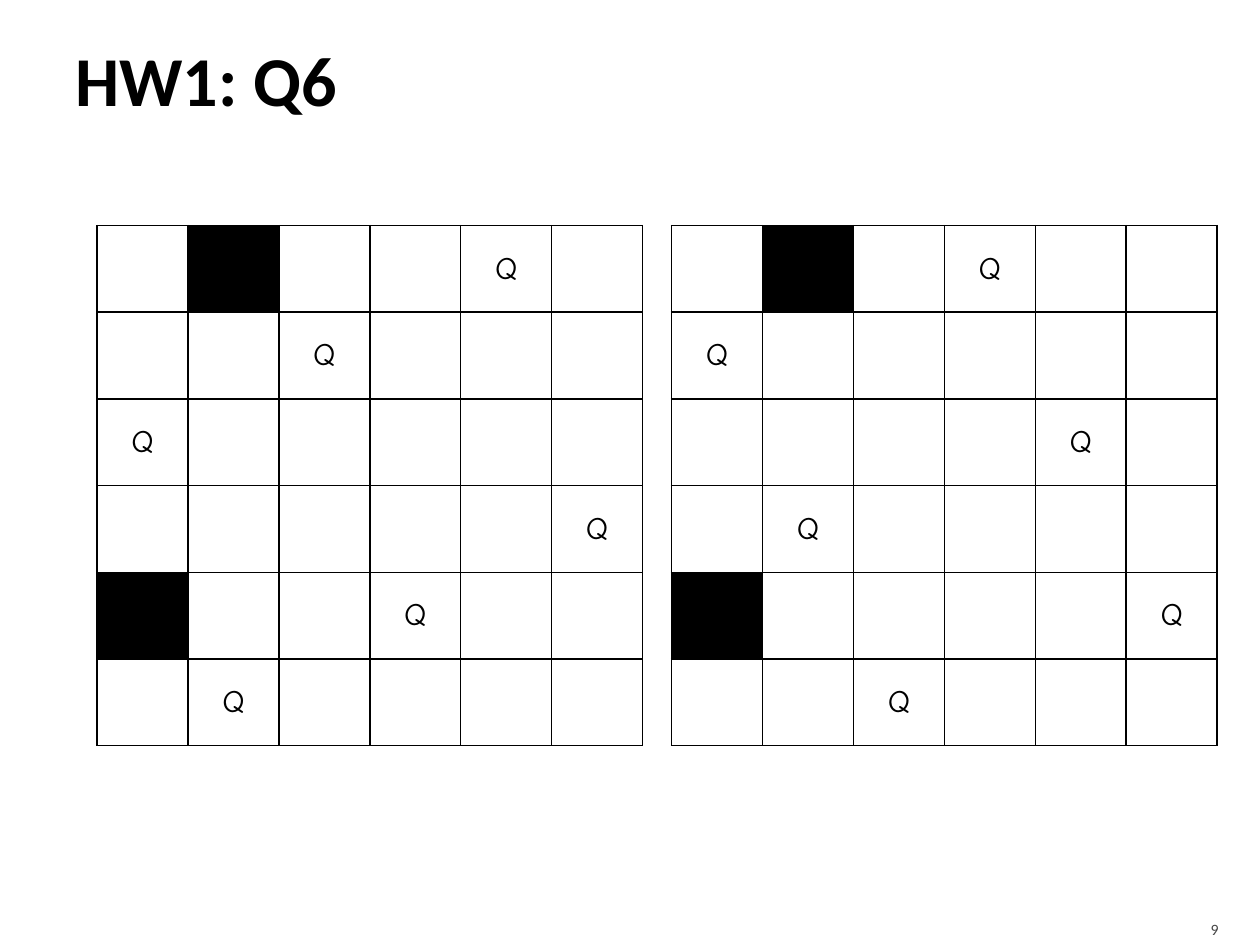
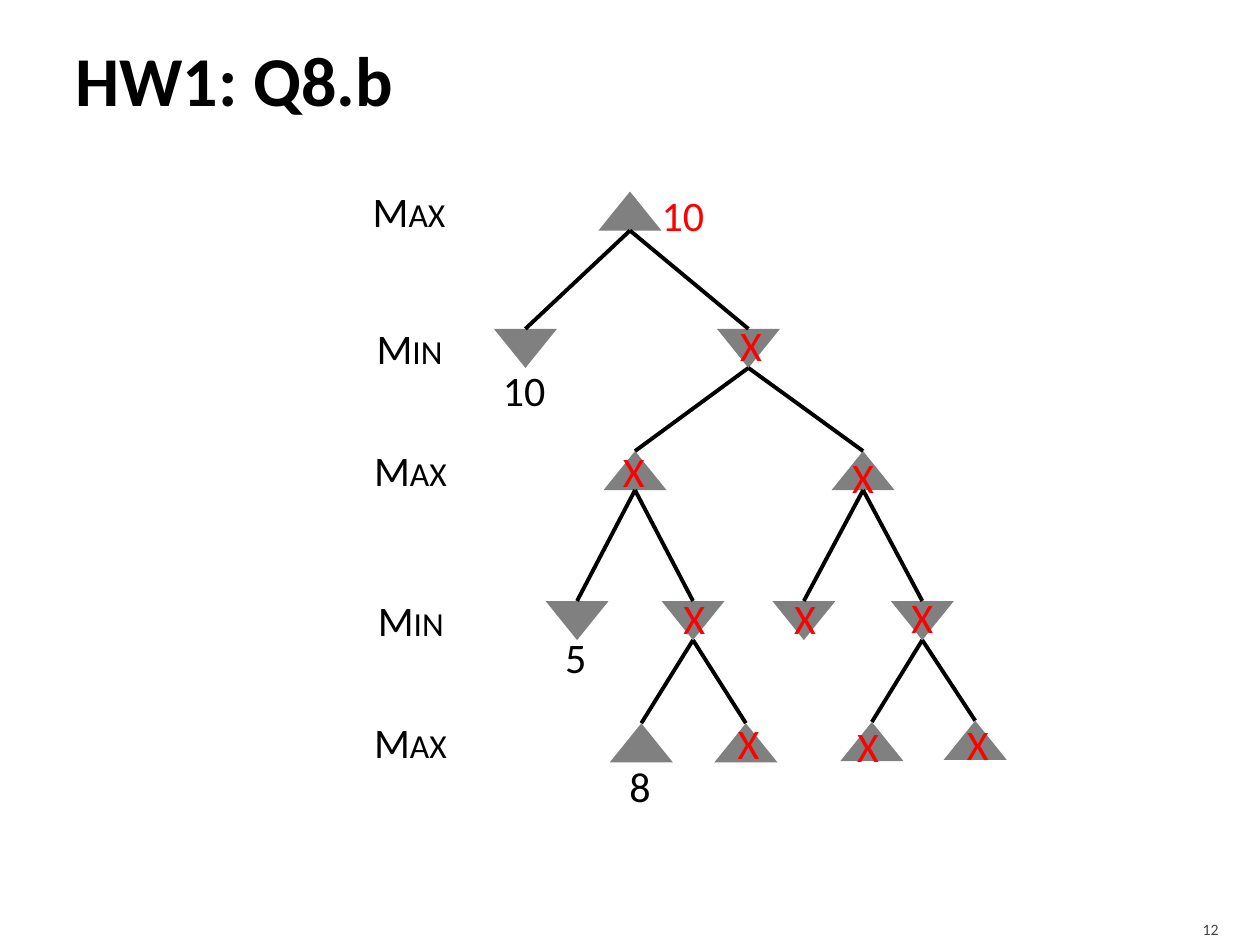
from dataclasses import dataclass

from lxml import etree
from pptx import Presentation
from pptx.dml.color import RGBColor
from pptx.enum.shapes import MSO_CONNECTOR, MSO_SHAPE
from pptx.enum.text import MSO_ANCHOR, MSO_AUTO_SIZE, PP_ALIGN
from pptx.oxml.ns import qn
from pptx.util import Inches, Pt

LEFT, CENTER, RIGHT = PP_ALIGN.LEFT, PP_ALIGN.CENTER, PP_ALIGN.RIGHT
TOP, MIDDLE = MSO_ANCHOR.TOP, MSO_ANCHOR.MIDDLE
FIT_SHAPE, FIXED = MSO_AUTO_SIZE.SHAPE_TO_FIT_TEXT, MSO_AUTO_SIZE.NONE
TRIANGLE, STRAIGHT = MSO_SHAPE.ISOSCELES_TRIANGLE, MSO_CONNECTOR.STRAIGHT

COLORS = {
    "ink": "000000",
    "page": "FFFFFF",
    "node": "808080",
    "answer": "FF0000",
    "number": "454545",
}
GRID_COLS, GRID_ROWS = 100, 75
UNIT = Inches(10) // GRID_COLS
BODY_FONT, QUEEN_FONT = "Calibri", "Comic Neue"

BOARD_SIZE = 6
BOARD_TOP, CELL_W, CELL_H = 17.9, 7.22, 6.88
BLOCKED = {(0, 1), (4, 0)}

NODE_W, NODE_H = 5, 3.1
MARK_W, MARK_H = 5, 5.1
LEVEL_ROWS = (15.2, 26.1, 35.8, 47.7, 57.4)


@dataclass(frozen=True)
class Style:
    size: float
    color: str = "ink"
    font: str = BODY_FONT
    bold: bool = False
    small_caps: bool = False
    align: PP_ALIGN = LEFT
    anchor: MSO_ANCHOR = MIDDLE
    margins: tuple[float, float, float, float] = (0, 0, 0, 0)
    wrap: bool = False
    autofit: MSO_AUTO_SIZE = FIXED


@dataclass(frozen=True)
class Board:
    left: float
    queen_cols: tuple[int, ...]


@dataclass(frozen=True)
class Node:
    level: int
    col: float
    parent: int | None
    mark: str
    color: str
    dx: float
    dy: float
    lift: float = 0

    @property
    def top(self) -> float:
        return LEVEL_ROWS[self.level] - self.lift


@dataclass(frozen=True)
class LevelLabel:
    text: str
    left: float
    width: float


TITLE = Style(40, bold=True, margins=(1, 0.5, 0.5, 0.5), wrap=True)
NUMBER = Style(9, "number", align=RIGHT, margins=(1, 0.5, 1, 0), wrap=True)
QUEEN = Style(18, font=QUEEN_FONT, align=CENTER)
LEVEL = Style(24, small_caps=True, anchor=TOP,
              margins=(1, 0.5, 1, 0.5), autofit=FIT_SHAPE)
MARKS = {c: Style(24, c, align=CENTER) for c in ("ink", "answer")}

BOARDS = (
    Board(7.7, (4, 2, 0, 5, 3, 1)),
    Board(53.3, (3, 0, 4, 1, 5, 2)),
)

NODES = (
    Node(0, 50, None, "10", "answer", 4.2, 0.3),
    Node(1, 41.7, 0, "10", "ink", -0.1, 3.3),
    Node(1, 59.4, 0, "X", "answer", 0.2, -0.3),
    Node(2, 50.4, 2, "X", "answer", -0.1, 0),
    Node(2, 68.5, 2, "X", "answer", 0, 0.5),
    Node(3, 45.8, 3, "5", "ink", -0.1, 2.9),
    Node(3, 55, 3, "X", "answer", 0.1, -0.2),
    Node(3, 63.8, 4, "X", "answer", 0.1, -0.2),
    Node(3, 73.2, 4, "X", "answer", 0, -0.3),
    Node(4, 50.9, 6, "8", "ink", -0.1, 3.4),
    Node(4, 59.2, 6, "X", "answer", 0.2, 0),
    Node(4, 69.2, 8, "X", "answer", -0.3, 0.3, 0.1),
    Node(4, 77.4, 8, "X", "answer", 0.2, 0.3, 0.2),
)

LEVEL_LABELS = (
    LevelLabel("Max", 28.6, 7.9),
    LevelLabel("Min", 28.9, 7.3),
    LevelLabel("Max", 28.7, 7.9),
    LevelLabel("Min", 29, 7.3),
    LevelLabel("Max", 28.7, 7.9),
)


def units(*values: float) -> list[int]:
    return [round(v * UNIT) for v in values]


def rgb(name: str) -> RGBColor:
    return RGBColor.from_string(COLORS[name])


def apply(target, formats: dict) -> None:
    for name, value in formats.items():
        setattr(target, name, value)


def write(tf, text: str, style: Style) -> None:
    p = tf.paragraphs[0]
    p.alignment = style.align
    r = p.add_run()
    r.text = text
    apply(r.font, {"size": Pt(style.size), "name": style.font, "bold": style.bold})
    r.font.color.rgb = rgb(style.color)
    if style.small_caps:
        r._r.get_or_add_rPr().set("cap", "small")


def add_text(s, text: str, box: tuple[float, ...], style: Style) -> None:
    tf = s.shapes.add_textbox(*units(*box)).text_frame
    left, top, right, bottom = units(*style.margins)
    apply(tf, {
        "margin_left": left,
        "margin_top": top,
        "margin_right": right,
        "margin_bottom": bottom,
        "vertical_anchor": style.anchor,
        "word_wrap": style.wrap,
        "auto_size": style.autofit,
    })
    write(tf, text, style)


def add_slide(prs, title: str, number: int):
    s = prs.slides.add_slide(prs.slide_layouts[6])
    s.background.fill.solid()
    s.background.fill.fore_color.rgb = rgb("page")
    add_text(s, title, (5, 0.8, 90, 10.8), TITLE)
    add_text(s, str(number), (89.7, 72, 8, 3), NUMBER)
    return s


def add_borders(cell) -> None:
    tc_pr = cell._tc.get_or_add_tcPr()
    for side in ("lnL", "lnR", "lnT", "lnB"):
        ln = etree.SubElement(tc_pr, qn(f"a:{side}"), w=str(Pt(1)))
        fill = etree.SubElement(ln, qn("a:solidFill"))
        etree.SubElement(fill, qn("a:srgbClr"), val=COLORS["ink"])


def add_board_row(s, board: Board, row: int) -> None:
    box = (board.left, BOARD_TOP + row * CELL_H, BOARD_SIZE * CELL_W, CELL_H)
    table = s.shapes.add_table(1, BOARD_SIZE, *units(*box)).table
    apply(table, {"first_row": False, "horz_banding": False})
    for col in range(BOARD_SIZE):
        cell = table.cell(0, col)
        cell.vertical_anchor = MIDDLE
        add_borders(cell)
        if (row, col) in BLOCKED:
            cell.fill.solid()
            cell.fill.fore_color.rgb = rgb("ink")
        else:
            cell.fill.background()
        if col == board.queen_cols[row]:
            write(cell.text_frame, "Q", QUEEN)


def add_node(s, node: Node) -> None:
    box = (node.col - NODE_W / 2, node.top, NODE_W, NODE_H)
    sp = s.shapes.add_shape(TRIANGLE, *units(*box))
    sp.shadow.inherit = False
    sp.rotation = 180 if node.level % 2 else 0
    sp.fill.solid()
    sp.fill.fore_color.rgb = rgb("node")
    sp.line.fill.background()


def add_edge(s, parent: Node, child: Node) -> None:
    ends = (parent.col, parent.top + NODE_H, child.col, child.top)
    line = s.shapes.add_connector(STRAIGHT, *units(*ends))
    line.line.width = Pt(2.25)
    line.line.color.rgb = rgb("ink")
    etree.SubElement(line._element.spPr, qn("a:effectLst"))


def add_mark(s, node: Node) -> None:
    left = node.col + node.dx - MARK_W / 2
    top = node.top + node.dy + (NODE_H - MARK_H) / 2
    add_text(s, node.mark, (left, top, MARK_W, MARK_H), MARKS[node.color])


def build_queens(prs) -> None:
    s = add_slide(prs, "HW1: Q6", 9)
    for board in BOARDS:
        for row in range(BOARD_SIZE):
            add_board_row(s, board, row)


def build_game_tree(prs) -> None:
    s = add_slide(prs, "HW1: Q8.b", 12)
    for node in NODES:
        add_node(s, node)
    for node in NODES:
        if node.parent is not None:
            add_edge(s, NODES[node.parent], node)
    for label, row in zip(LEVEL_LABELS, LEVEL_ROWS):
        add_text(s, label.text, (label.left, row - 1, label.width, 5), LEVEL)
    for node in NODES:
        add_mark(s, node)


def main() -> None:
    prs = Presentation()
    prs.slide_width, prs.slide_height = units(GRID_COLS, GRID_ROWS)
    build_queens(prs)
    build_game_tree(prs)
    prs.save("out.pptx")


if __name__ == "__main__":
    main()
